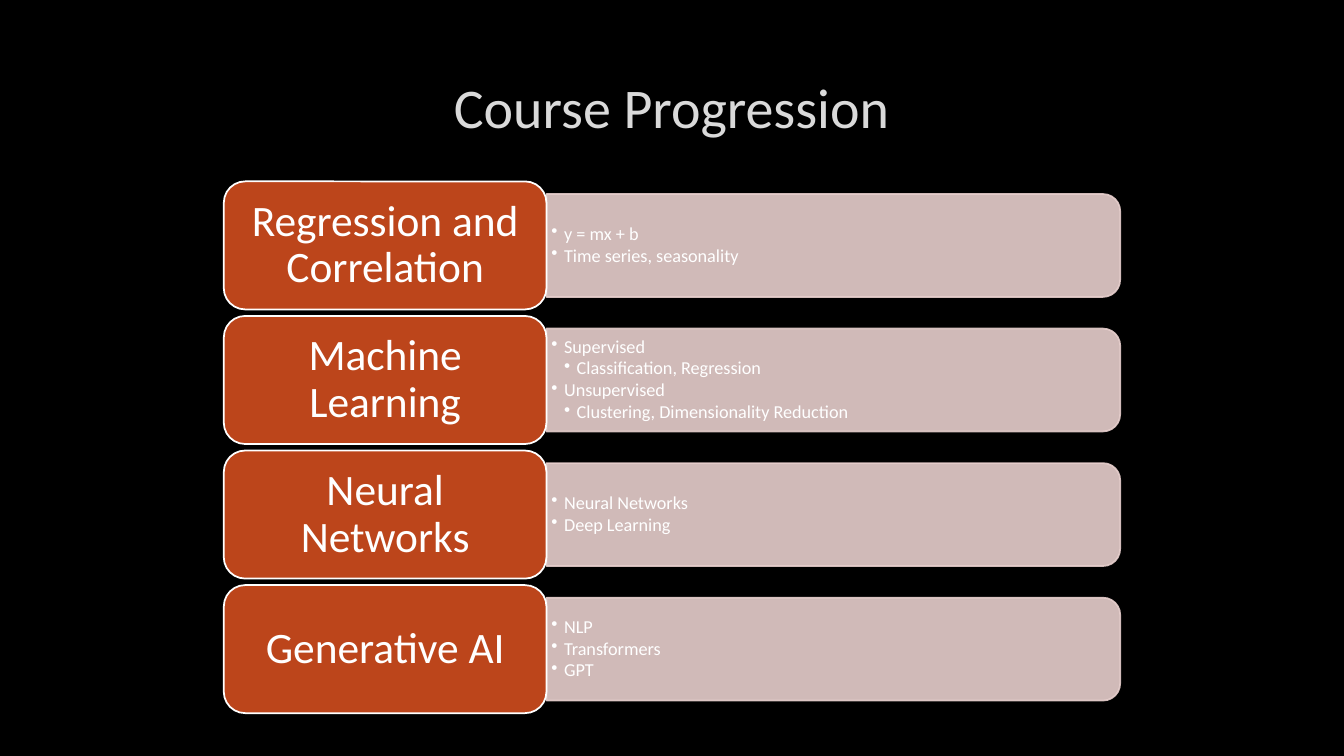
"""Build the Course Progression slide: four topic labels, each with a bar of details."""
from lxml.etree import SubElement
from pptx import Presentation
from pptx.dml.color import RGBColor
from pptx.enum.shapes import MSO_SHAPE as Preset
from pptx.enum.text import MSO_ANCHOR as Anchor, PP_ALIGN as Align
from pptx.oxml.ns import qn
from pptx.util import Inches, Pt

TITLE = "Course Progression"
TOPICS = [
    ("Regression and Correlation", [(1, "y = mx + b"), (1, "Time series, seasonality")]),
    ("Machine Learning", [
        (1, "Supervised"),
        (2, "Classification, Regression"),
        (1, "Unsupervised"),
        (2, "Clustering, Dimensionality Reduction"),
    ]),
    ("Neural Networks", [(1, "Neural Networks"), (1, "Deep Learning")]),
    ("Generative AI", [(1, "NLP"), (1, "Transformers"), (1, "GPT")]),
]
FONT = "Calibri"
BLACK, WHITE, GREY = "000000", "FFFFFF", "DADADA"
ORANGE, PINK = "BC451B", "E7CFCD"
BAR_OPACITY = 90

LABEL_LEFT, FIRST_TOP, ROW_PITCH = 2.22, 1.8, 1.335
LABEL_WIDTH, LABEL_HEIGHT = 3.2, 1.27
BAR_LEFT = LABEL_LEFT + LABEL_WIDTH
BAR_LENGTH, BAR_THICKNESS = 5.69, 1.02
DETAIL_WIDTH, DETAIL_HEIGHT = 5.64, 0.92
BULLET_INDENT = 0.125


def color(value):
    return RGBColor.from_string(value)


def set_opacity(fill_parent, percent):
    rgb = fill_parent.find(qn("a:solidFill")).find(qn("a:srgbClr"))
    SubElement(rgb, qn("a:alpha")).set("val", str(percent * 1000))


def add_run(paragraph, text, size, value):
    run = paragraph.add_run()
    run.text = text
    run.font.name = FONT
    run.font.size = Pt(size)
    run.font.color.rgb = color(value)


def prepare_frame(shape, anchor, horizontal, vertical):
    frame = shape.text_frame
    frame.word_wrap = True
    frame.vertical_anchor = anchor
    frame.margin_left = frame.margin_right = Inches(horizontal)
    frame.margin_top = frame.margin_bottom = Inches(vertical)
    return frame


def add_panel(slide, preset, left, top, width, height, fill, line):
    shape = slide.shapes.add_shape(
        preset, Inches(left), Inches(top), Inches(width), Inches(height))
    shape.shadow.inherit = False
    shape.fill.solid()
    shape.fill.fore_color.rgb = color(fill)
    shape.line.color.rgb = color(line)
    shape.line.width = Pt(1.25)
    return shape


def add_text_box(slide, left, top, width, height):
    return slide.shapes.add_textbox(
        Inches(left), Inches(top), Inches(width), Inches(height))


def add_bar(slide, middle):
    center = BAR_LEFT + BAR_LENGTH / 2
    bar = add_panel(
        slide, Preset.ROUND_2_SAME_RECTANGLE, center - BAR_THICKNESS / 2,
        middle - BAR_LENGTH / 2, BAR_THICKNESS, BAR_LENGTH, PINK, PINK)
    bar.rotation = 90
    properties = bar._element.spPr
    set_opacity(properties, BAR_OPACITY)
    set_opacity(properties.find(qn("a:ln")), BAR_OPACITY)


def add_details(slide, middle, details):
    box = add_text_box(
        slide, BAR_LEFT, middle - DETAIL_HEIGHT / 2, DETAIL_WIDTH, DETAIL_HEIGHT)
    frame = prepare_frame(box, Anchor.MIDDLE, 0.05, 0.03)
    for index, (level, text) in enumerate(details):
        paragraph = frame.add_paragraph() if index else frame.paragraphs[0]
        paragraph.level = level
        paragraph.line_spacing = 0.9
        paragraph.space_after = Pt(1.6)
        properties = paragraph._p.get_or_add_pPr()
        properties.set("marL", str(Inches(BULLET_INDENT * level)))
        properties.set("indent", str(-Inches(BULLET_INDENT)))
        SubElement(properties, qn("a:buChar")).set("char", "•")
        add_run(paragraph, text, 13, WHITE)


def add_label(slide, top, text):
    label = add_panel(
        slide, Preset.ROUNDED_RECTANGLE, LABEL_LEFT, top,
        LABEL_WIDTH, LABEL_HEIGHT, ORANGE, WHITE)
    paragraph = prepare_frame(label, Anchor.MIDDLE, 0.13, 0.06).paragraphs[0]
    paragraph.alignment = Align.CENTER
    paragraph.line_spacing = 0.9
    add_run(paragraph, text, 31, WHITE)


def add_title(slide):
    box = add_text_box(slide, 1, 0.67, 11.32, 1.06)
    paragraph = prepare_frame(box, Anchor.TOP, 0.1, 0.05).paragraphs[0]
    paragraph.alignment = Align.CENTER
    add_run(paragraph, TITLE, 40, GREY)


def main():
    presentation = Presentation()
    presentation.slide_width = Inches(13.33)
    presentation.slide_height = Inches(7.5)
    slide = presentation.slides.add_slide(presentation.slide_layouts[6])
    slide.background.fill.solid()
    slide.background.fill.fore_color.rgb = color(BLACK)
    for row, (topic, details) in enumerate(TOPICS):
        top = FIRST_TOP + row * ROW_PITCH
        middle = top + LABEL_HEIGHT / 2
        add_bar(slide, middle)
        add_details(slide, middle, details)
        add_label(slide, top, topic)
    add_title(slide)
    presentation.save("out.pptx")


if __name__ == "__main__":
    main()
